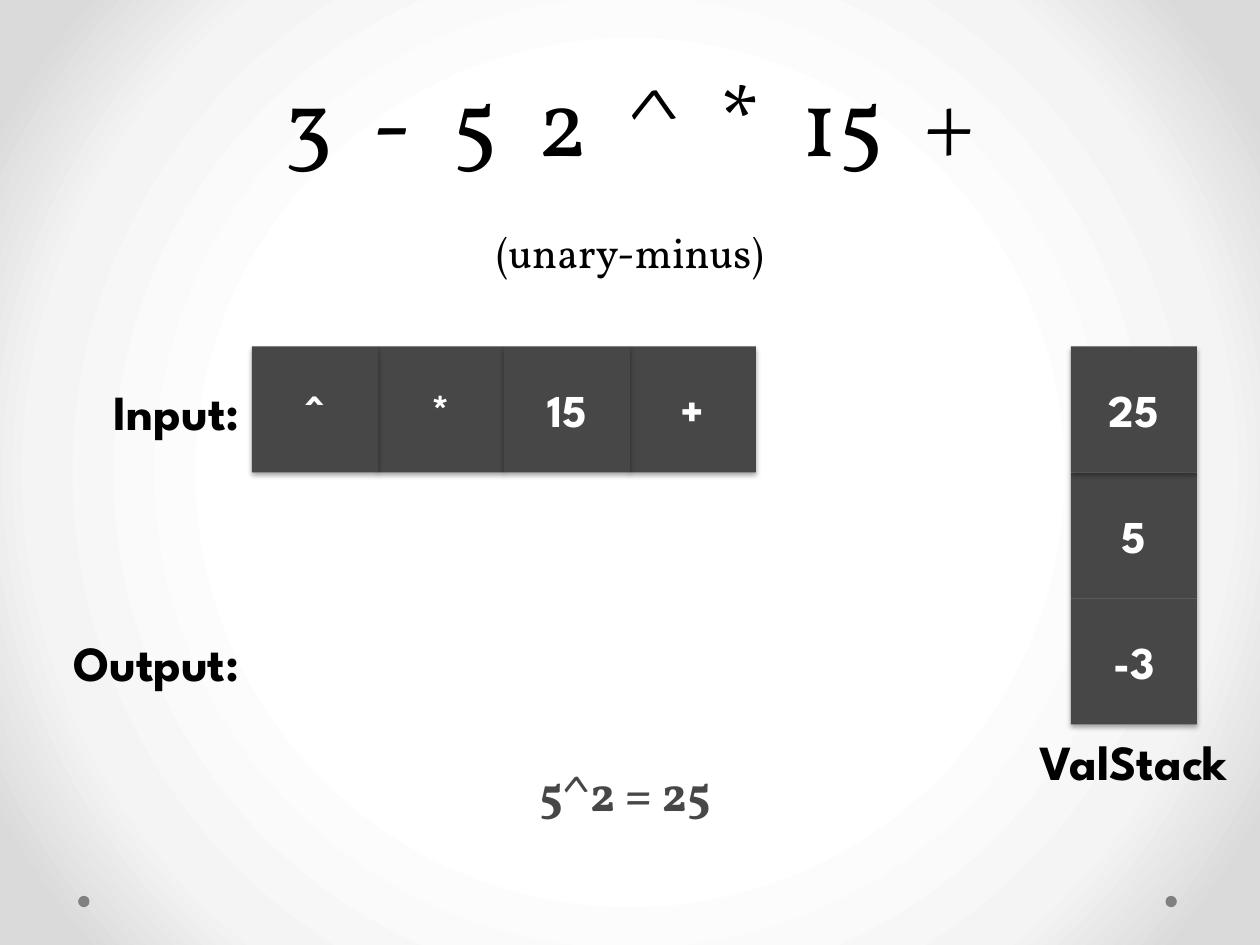
"""Build the postfix evaluation slide with its input queue and value stack."""
from pptx import Presentation
from pptx.dml.color import RGBColor
from pptx.enum.shapes import MSO_SHAPE as Shape
from pptx.enum.text import MSO_ANCHOR as Anchor, PP_ALIGN as Align
from pptx.oxml import parse_xml
from pptx.oxml.ns import nsdecls
from pptx.util import Inches, Pt


def rgb(value):
    return RGBColor.from_string(value)


def style(paragraph, face, size, color, align=Align.CENTER, bold=True):
    paragraph.alignment = align
    font = paragraph.font
    font.name, font.size, font.bold = face, Pt(size), bold
    font.color.rgb = rgb(color)


SANS, SERIF = "League Spartan", "Vollkorn"
BLACK, WHITE, CHARCOAL, GRAY = "000000", "FFFFFF", "474747", "808080"

deck = Presentation()
deck.slide_width, deck.slide_height = Inches(10), Inches(7.5)
slide = deck.slides.add_slide(deck.slide_layouts[5])

stops = "".join(
    f'<a:gs pos="{position * 1000}"><a:srgbClr val="{color}"/></a:gs>'
    for position, color in [(50, WHITE), (76, "F4F4F4"), (92, "DADADA")]
)
slide.background.fill.solid()
backdrop = slide.background.fill._xPr
backdrop.replace(backdrop[0], parse_xml(
    f'<a:gradFill {nsdecls("a")} rotWithShape="1"><a:gsLst>{stops}</a:gsLst>'
    '<a:path path="circle"><a:fillToRect l="50000" t="50000" r="50000" b="50000"/>'
    '</a:path></a:gradFill>'
))

for left in (9.25, 0.62):
    dot = slide.shapes.add_shape(
        Shape.OVAL, Inches(left), Inches(7.11), Inches(0.09), Inches(0.09))
    dot.shadow.inherit = False
    dot.fill.solid()
    dot.fill.fore_color.rgb = rgb(GRAY)
    dot.line.fill.background()

input_cells = [("+", 5, 2.75), ("*", 3, 2.75), ("15", 4, 2.75), ("^", 2, 2.75)]
stack_cells = [("5", 8.5, 3.75), ("-3", 8.5, 4.75), ("25", 8.5, 2.75)]
for token, left, top in input_cells + stack_cells:
    cell = slide.shapes.add_shape(
        Shape.RECTANGLE, Inches(left), Inches(top), Inches(1), Inches(1))
    cell.fill.solid()
    cell.fill.fore_color.rgb = rgb(CHARCOAL)
    cell.line.fill.background()
    cell.shadow.inherit = False
    effects = cell._element.spPr.find("{*}effectLst")
    effects.append(parse_xml(
        f'<a:outerShdw {nsdecls("a")} blurRad="{Pt(3.1)}" dist="{Pt(1.8)}" '
        'dir="5400000" rotWithShape="0"><a:srgbClr val="000000">'
        '<a:alpha val="35000"/></a:srgbClr></a:outerShdw>'
    ))
    cell.text_frame.vertical_anchor = Anchor.MIDDLE
    cell.text_frame.text = token
    style(cell.text_frame.paragraphs[0], SANS, 26, WHITE)

labels = [
    ("Input:", 0, 2.76, 2, 1, Anchor.MIDDLE, Align.RIGHT, SANS, BLACK),
    ("Output:", 0, 4.75, 2, 1, Anchor.MIDDLE, Align.RIGHT, SANS, BLACK),
    ("ValStack", 8, 5.76, 2, 0.57, Anchor.TOP, Align.CENTER, SANS, BLACK),
    ("5^2 = 25", 2.17, 6, 5.58, 0.57, Anchor.TOP, Align.CENTER, SERIF, CHARCOAL),
]
for text, left, top, width, height, anchor, align, face, color in labels:
    label = slide.shapes.add_textbox(
        Inches(left), Inches(top), Inches(width), Inches(height)).text_frame
    label.word_wrap = True
    label.vertical_anchor = anchor
    label.text = text
    style(label.paragraphs[0], face, 28, color, align)

title = slide.shapes.title
title.left, title.top = Inches(0.5), Inches(0.5)
title.width, title.height = Inches(9), Inches(1.75)
title.text_frame.vertical_anchor = Anchor.BOTTOM
expression = title.text_frame.paragraphs[0]
style(expression, SERIF, 54, BLACK, bold=False)
expression.line_spacing = Pt(58)
for index, token in enumerate("3 - 5 2 ^ * 15 +".split()):
    if index:
        gap = expression.add_run()
        gap.text = " "
        gap.font._element.set("spc", "1200")
    expression.add_run().text = token
expression.add_line_break()
note = expression.add_run()
note.text = "(unary-minus)"
note.font.size = Pt(24)

deck.save("out.pptx")
